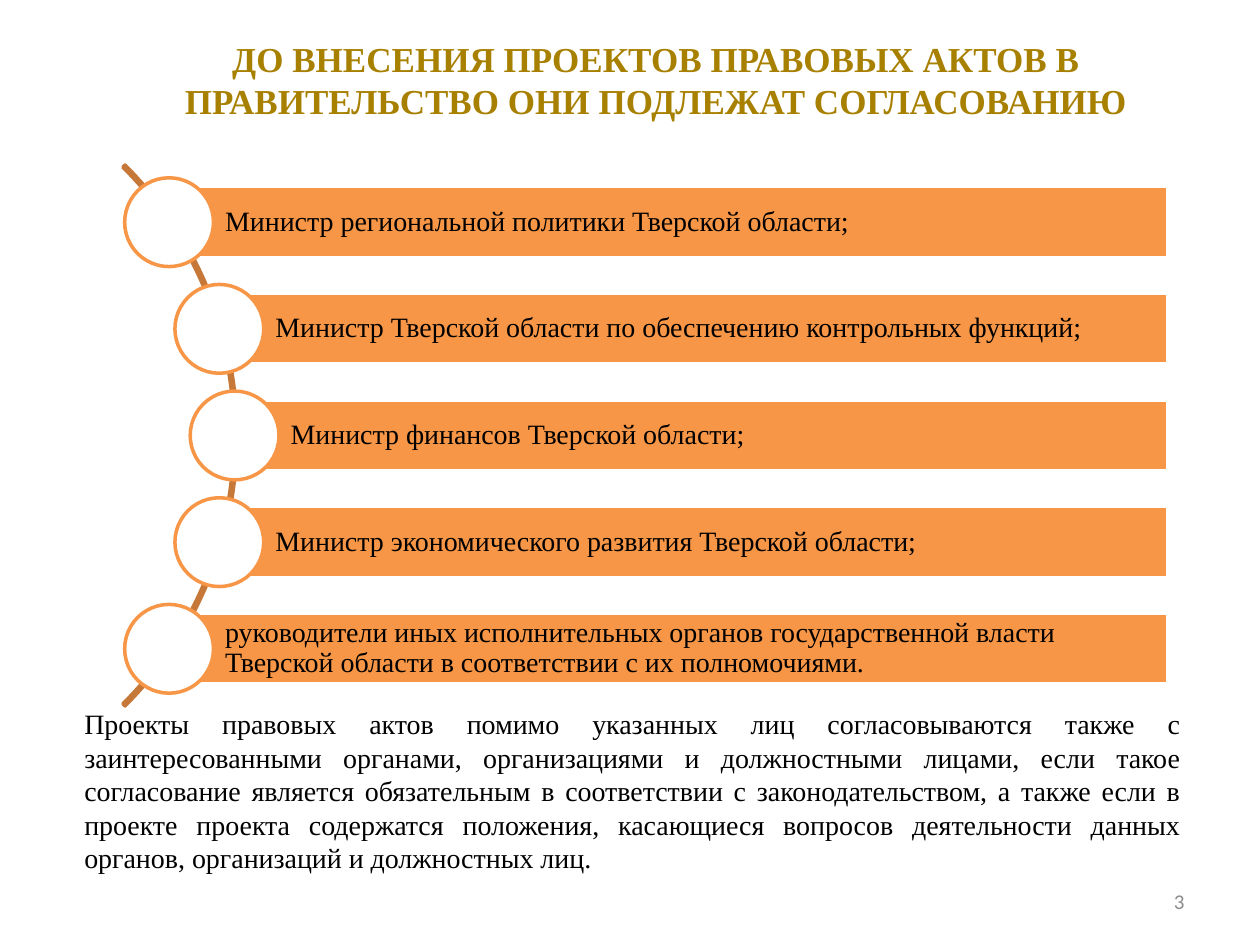
"""Builds the slide listing the officials who approve draft legal acts."""
from math import sqrt

from pptx import Presentation
from pptx.dml.color import RGBColor
from pptx.enum.shapes import MSO_SHAPE
from pptx.enum.text import MSO_ANCHOR, PP_ALIGN
from pptx.util import Cm, Pt

ARC, BAR, CIRCLE = MSO_SHAPE.BLOCK_ARC, MSO_SHAPE.RECTANGLE, MSO_SHAPE.OVAL
TOP, MIDDLE = MSO_ANCHOR.TOP, MSO_ANCHOR.MIDDLE
LEFT, CENTER, RIGHT, JUSTIFY = PP_ALIGN.LEFT, PP_ALIGN.CENTER, PP_ALIGN.RIGHT, PP_ALIGN.JUSTIFY
ORANGE, BROWN, GOLD = "F79646", "C67838", "A88000"
WHITE, BLACK, GRAY = "FFFFFF", "000000", "8C8C8C"

TITLE = "ДО ВНЕСЕНИЯ ПРОЕКТОВ ПРАВОВЫХ АКТОВ В ПРАВИТЕЛЬСТВО ОНИ ПОДЛЕЖАТ СОГЛАСОВАНИЮ"
OFFICIALS = [
    "Министр региональной политики Тверской области;",
    "Министр Тверской области по обеспечению контрольных функций;",
    "Министр финансов Тверской области;",
    "Министр экономического развития Тверской области;",
    "руководители иных исполнительных органов государственной власти "
    "Тверской области в соответствии с их полномочиями.",
]
NOTE = (
    "Проекты правовых актов помимо указанных лиц согласовываются также с "
    "заинтересованными органами, организациями и должностными лицами, если такое "
    "согласование является обязательным в соответствии с законодательством, а также "
    "если в проекте проекта содержатся положения, касающиеся вопросов деятельности "
    "данных органов, организаций и должностных лиц."
)


def color(value):
    """Turns a hex string into a colour."""
    return RGBColor.from_string(value)


class SlideBuilder:
    """Holds the text style and the current slide."""

    font = "Times New Roman"
    size = 16

    def __init__(self, slide):
        """Keeps the slide to draw on."""
        self.slide = slide

    def set_text(self, shape, text, align=LEFT, anchor=MIDDLE, ink=BLACK, size=None, font=None, bold=False):
        """Sets and formats the text of a shape."""
        frame = shape.text_frame
        frame.text = text
        frame.word_wrap = True
        frame.vertical_anchor = anchor
        paragraph = frame.paragraphs[0]
        paragraph.alignment = align
        style = paragraph.runs[0].font
        style.name = font or self.font
        style.size = Pt(size or self.size)
        style.bold = bold
        style.color.rgb = color(ink)
        return paragraph

    def title(self, text, left, top, width, height):
        """Places the title placeholder."""
        shape = self.slide.shapes.title
        shape.left, shape.top, shape.width, shape.height = Cm(left), Cm(top), Cm(width), Cm(height)
        self.set_text(shape, text, CENTER, ink=GOLD, size=20, bold=True)

    def text(self, text, left, top, width, height, **style):
        """Adds a text box."""
        box = self.slide.shapes.add_textbox(Cm(left), Cm(top), Cm(width), Cm(height))
        self.set_text(box, text, **style)

    def shape(self, kind, left, top, width, height, fill, line):
        """Adds a filled and outlined preset shape."""
        shape = self.slide.shapes.add_shape(kind, Cm(left), Cm(top), Cm(width), Cm(height))
        shape.shadow.inherit = False
        shape.fill.solid()
        shape.fill.fore_color.rgb = color(fill)
        shape.line.color.rgb = color(line)
        shape.line.width = Pt(2)
        return shape

    def arc(self, center_x, center_y, diameter):
        """Adds the thin quarter arc behind the list."""
        radius = diameter / 2
        arc = self.shape(ARC, center_x - radius, center_y - radius, diameter, diameter, BROWN, BROWN)
        for index, value in enumerate((189, 27, 0.004)):
            arc.adjustments[index] = value

    def item(self, text, center_x, center_y, right, height, diameter):
        """Adds a bar with its text and the circle at its start."""
        bar = self.shape(BAR, center_x, center_y - height / 2, right - center_x, height, ORANGE, WHITE)
        self.set_text(bar, text).line_spacing = 0.9
        frame = bar.text_frame
        frame.margin_left = Cm(1.13)
        frame.margin_top = frame.margin_right = frame.margin_bottom = Cm(0.1)
        radius = diameter / 2
        self.shape(CIRCLE, center_x - radius, center_y - radius, diameter, diameter, WHITE, ORANGE)


def main():
    """Builds and saves the presentation."""
    presentation = Presentation()
    presentation.slide_width, presentation.slide_height = Cm(25.4), Cm(19.05)
    builder = SlideBuilder(presentation.slides.add_slide(presentation.slide_layouts[5]))
    builder.title(TITLE, 2.31, 0.36, 21.82, 2.49)

    arc_x, arc_y, radius, pitch = -2.93, 8.78, 7.66, 2.15
    builder.arc(arc_x, arc_y, 15.42)
    for index, official in enumerate(OFFICIALS):
        offset = (index - (len(OFFICIALS) - 1) / 2) * pitch
        center_x = arc_x + sqrt(radius ** 2 - offset ** 2)
        builder.item(official, center_x, arc_y + offset, right=23.55, height=1.43, diameter=1.79)

    builder.text(NOTE, 1.45, 14.12, 22.61, 3.68, align=JUSTIFY, anchor=TOP)
    builder.text("3", 18.21, 17.65, 5.92, 1.02, align=RIGHT, ink=GRAY, size=12, font="Calibri")
    presentation.save("out.pptx")


main()
